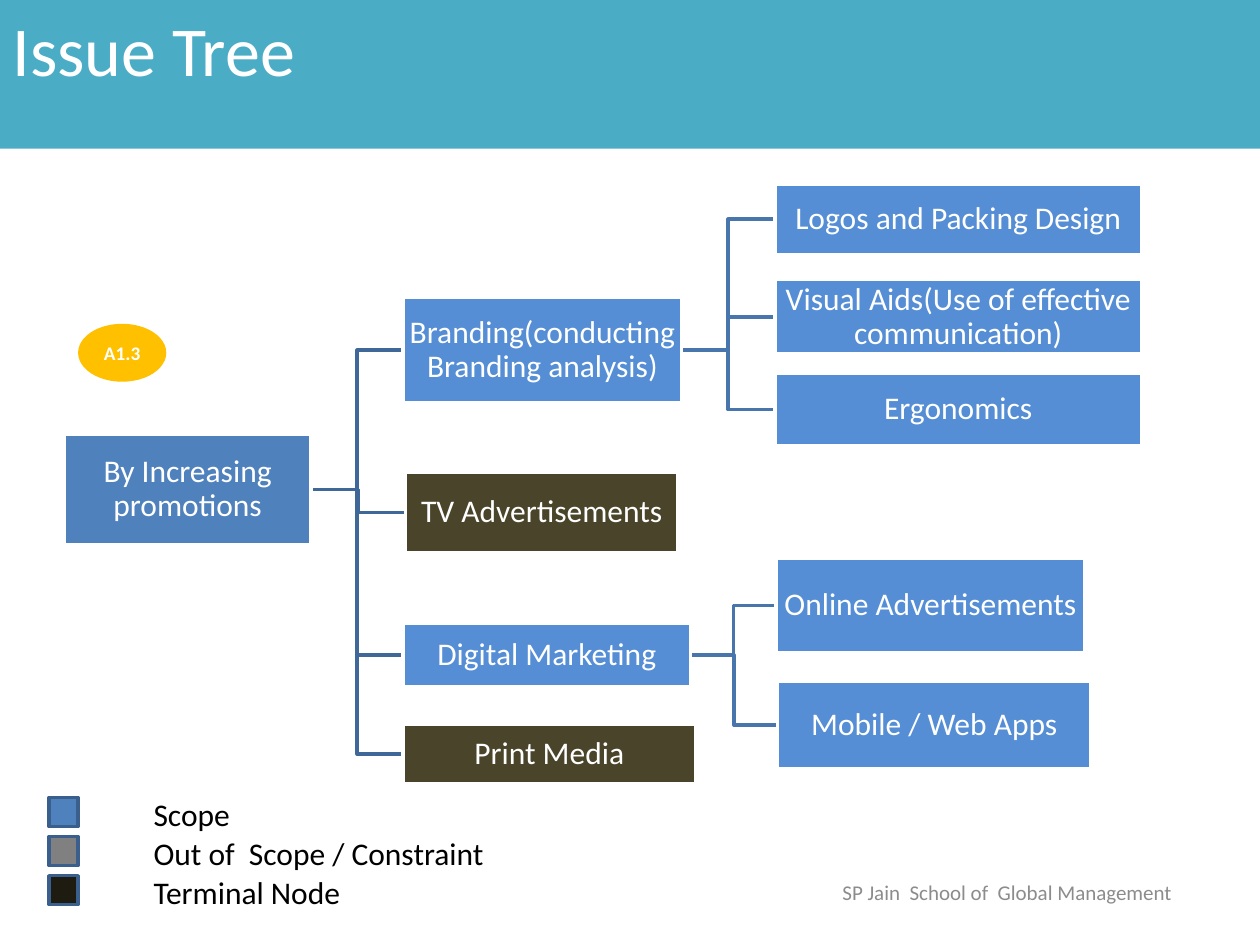
from pptx import Presentation
from pptx.dml.color import RGBColor
from pptx.enum.shapes import MSO_CONNECTOR, MSO_SHAPE
from pptx.enum.text import MSO_ANCHOR, MSO_AUTO_SIZE, PP_ALIGN
from pptx.oxml.ns import qn
from pptx.util import Pt
from lxml import etree

EMU_PER_PX = 9144
FONT = "Calibri"
TITLE_ONLY = 5
LEFT_SIDE, RIGHT_SIDE = 1, 3
ELBOW = MSO_CONNECTOR.ELBOW
RECTANGLE, OVAL, PROCESS = MSO_SHAPE.RECTANGLE, MSO_SHAPE.OVAL, MSO_SHAPE.FLOWCHART_PROCESS
TOP, MIDDLE = MSO_ANCHOR.TOP, MSO_ANCHOR.MIDDLE
LEFT, CENTER = PP_ALIGN.LEFT, PP_ALIGN.CENTER
NO_AUTOFIT = MSO_AUTO_SIZE.NONE

COLORS = {
    "white": "FFFFFF", "black": "000000", "banner": "4BACC6", "root": "4F81BD",
    "scope": "558ED5", "terminal": "4A452A", "root_link": "3F6797",
    "branch_link": "4875AC", "badge": "FFC000", "footer": "8C8C8C",
    "legend_line": "3A5F8C", "constraint_key": "808080", "terminal_key": "1E1C11",
}

NODES = {
    "root": ("By Increasing promotions", (0, 199, 196, 87), "root"),
    "branding": ("Branding(conducting Branding analysis)", (269, 90, 221, 84), "scope"),
    "logos": ("Logos and Packing Design", (564, 0, 291, 56), "scope"),
    "visual": ("Visual Aids(Use of effective communication)", (564, 76, 291, 59), "scope"),
    "ergonomics": ("Ergonomics", (564, 150, 291, 58), "scope"),
    "tv": ("TV Advertisements", (271, 229, 216, 64), "terminal"),
    "digital": ("Digital Marketing", (269, 349, 228, 50), "scope"),
    "online": ("Online Advertisements", (565, 297, 245, 75), "scope"),
    "mobile": ("Mobile / Web Apps", (566, 395, 249, 69), "scope"),
    "print": ("Print Media", (269, 429, 232, 47), "terminal"),
}
BRANCHES = {
    "root": ("print", "digital", "tv", "branding"),
    "digital": ("mobile", "online"),
    "branding": ("ergonomics", "visual", "logos"),
}
LEGEND = (
    ("Scope", "root"),
    ("Out of  Scope / Constraint", "constraint_key"),
    ("Terminal Node", "terminal_key"),
)


def px(length):
    """Turn hundredths of an inch into EMU."""
    return round(length * EMU_PER_PX)


def rgb(name):
    """Look up a named colour."""
    return RGBColor.from_string(COLORS[name])


def write_text(shape, text, size=18, color="white", align=CENTER, anchor=MIDDLE,
               bold=False, spacing=1.0, wrap=True, inset=(10, 5)):
    """Put one formatted paragraph into a shape."""
    frame = shape.text_frame
    frame.text = text
    frame.auto_size = NO_AUTOFIT
    frame.word_wrap = wrap
    frame.vertical_anchor = anchor
    frame.margin_left = frame.margin_right = px(inset[0])
    frame.margin_top = frame.margin_bottom = px(inset[1])
    paragraph = frame.paragraphs[0]
    paragraph.alignment = align
    paragraph.line_spacing = spacing
    font = paragraph.runs[0].font
    font.name, font.size, font.bold = FONT, Pt(size), bold
    font.color.rgb = rgb(color)


def add_box(slide, box, fill, line=None, kind=RECTANGLE):
    """Add a flat filled shape with an optional outline."""
    shape = slide.shapes.add_shape(kind, *map(px, box))
    shape.shadow.inherit = False
    shape.fill.solid()
    shape.fill.fore_color.rgb = rgb(fill)
    if line:
        shape.line.color.rgb = rgb(line)
        shape.line.width = Pt(2)
    else:
        shape.line.fill.background()
    return shape


def add_label(slide, box, text, **text_format):
    """Add a text box."""
    label = slide.shapes.add_textbox(*map(px, box))
    write_text(label, text, **text_format)


def add_link(slide, color):
    """Add an elbow connector that is yet to be joined."""
    link = slide.shapes.add_connector(ELBOW, 0, 0, 0, 0)
    link.line.color.rgb = rgb(color)
    link.line.width = Pt(2)
    etree.SubElement(link._element.spPr, qn("a:effectLst"))
    return link


def build_title(slide, box):
    """Turn the title placeholder into the banner."""
    title = slide.shapes.title
    title.left, title.top, title.width, title.height = map(px, box)
    title.fill.solid()
    title.fill.fore_color.rgb = rgb("banner")
    write_text(title, "Issue Tree", size=40, align=LEFT, anchor=TOP)


def build_tree(slide, box):
    """Draw the links behind the nodes, then join them."""
    left, top = box[:2]
    links = [
        (parent, child, add_link(slide, "root_link" if parent == "root" else "branch_link"))
        for parent, children in BRANCHES.items() for child in children
    ]
    shapes = {}
    for name, (text, (x, y, width, height), fill) in NODES.items():
        kind = PROCESS if name == "root" else RECTANGLE
        node = add_box(slide, (left + x, top + y, width, height), fill, "white", kind)
        write_text(node, text, spacing=0.9, inset=(1, 1))
        shapes[name] = node
    for parent, child, link in links:
        link.begin_connect(shapes[parent], RIGHT_SIDE)
        link.end_connect(shapes[child], LEFT_SIDE)


def build_badge(slide, box):
    """Draw the branch number."""
    badge = add_box(slide, box, "badge", kind=OVAL)
    write_text(badge, "A1.3", size=11, bold=True, wrap=False, inset=(0, 0))


def build_legend(slide, box):
    """Draw equally spaced colour keys with their labels."""
    left, top, width, height = box
    pitch = height // len(LEGEND)
    for row, (text, fill) in enumerate(LEGEND):
        y = top + row * pitch
        add_box(slide, (left, y, 23, 23), fill, "legend_line")
        add_label(slide, (left + 73, y - 7, width - 73, 40), text,
                  color="black", align=LEFT, anchor=TOP)


def build_footer(slide, box):
    """Write the school name."""
    add_label(slide, box, "SP Jain  School of  Global Management", size=12, color="footer")


def main():
    """Build and save the slide."""
    presentation = Presentation()
    presentation.slide_width, presentation.slide_height = px(1000), px(750)
    slide = presentation.slides.add_slide(presentation.slide_layouts[TITLE_ONLY])
    build_title(slide, (0, 0, 1000, 118))
    build_tree(slide, (51, 146, 855, 476))
    build_legend(slide, (39, 633, 358, 93))
    build_footer(slide, (641, 688, 317, 40))
    build_badge(slide, (62, 257, 70, 46))
    presentation.save("out.pptx")


if __name__ == "__main__":
    main()
